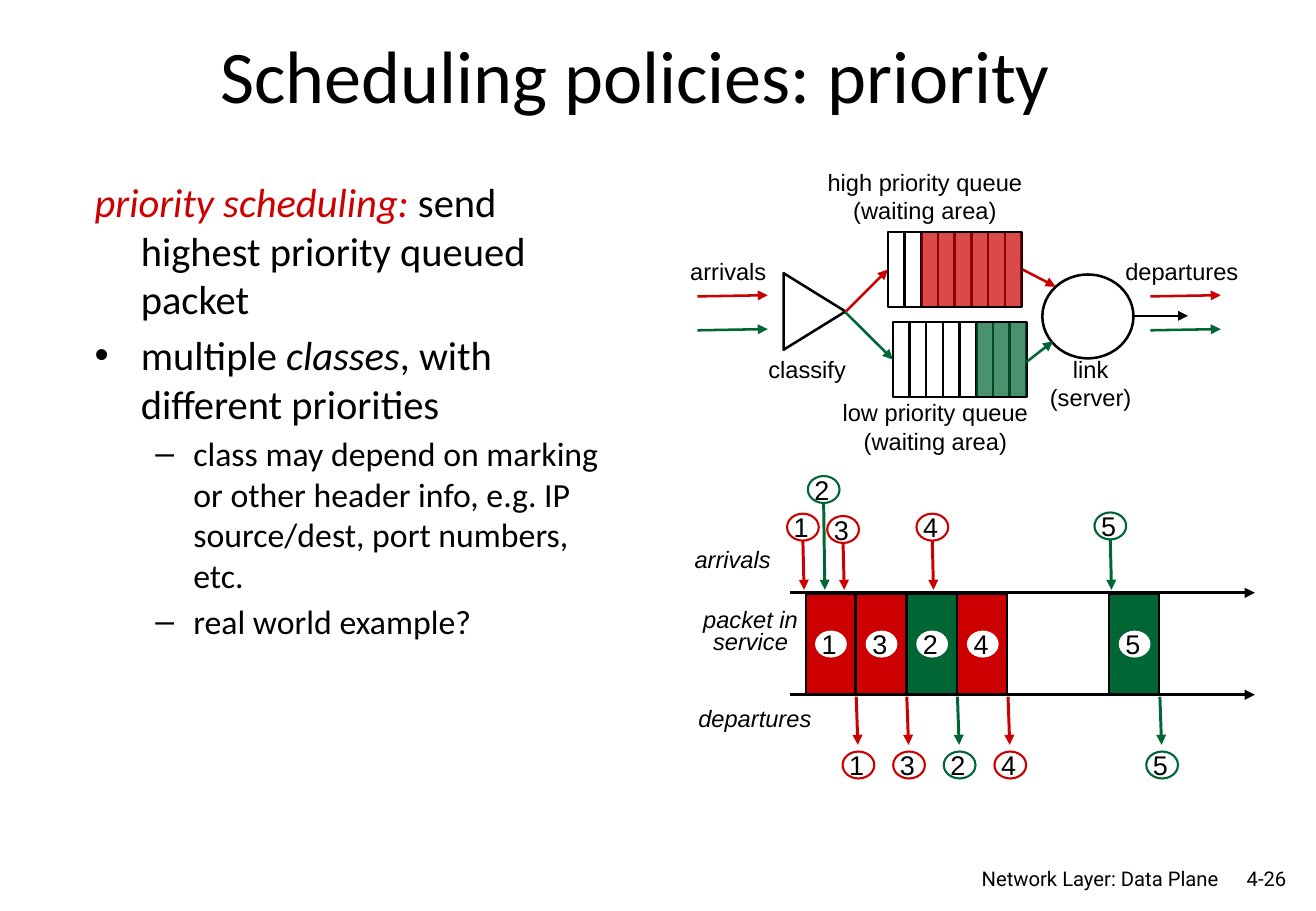
"""Build the slide on priority scheduling policies."""
from dataclasses import dataclass
from typing import Optional

from lxml.etree import SubElement
from pptx import Presentation
from pptx.dml.color import RGBColor
from pptx.enum.shapes import MSO_CONNECTOR as Connector, MSO_SHAPE as Preset
from pptx.enum.text import MSO_ANCHOR as Anchor, PP_ALIGN as Align
from pptx.oxml.ns import qn
from pptx.util import Pt

RED = RGBColor(0xCC, 0x00, 0x00)
GREEN = RGBColor(0x00, 0x66, 0x33)
BLACK = RGBColor(0x00, 0x00, 0x00)
WHITE = RGBColor(0xFF, 0xFF, 0xFF)

QUEUE_WIDTH, QUEUE_HEIGHT, QUEUE_CELLS = 79.2, 44.6, 8
TIME_START, SLOT, PACKET_WIDTH = 477.5, 30, 29.6
ARRIVAL_AXIS, DEPARTURE_AXIS, AXIS_END = 351.4, 411.8, 743.8
BADGE_WIDTH, BADGE_HEIGHT = 18.8, 16


@dataclass(frozen=True)
class Label:
    text: str
    left: float
    top: float
    width: float
    height: float
    size: float = 14
    font: str = "Arial"
    align: Align = Align.CENTER
    anchor: Anchor = Anchor.TOP
    italic: bool = False
    wrap: bool = False
    leading: Optional[float] = None


@dataclass(frozen=True)
class Arrow:
    start: tuple[float, float]
    end: tuple[float, float]
    color: RGBColor
    weight: float = 1.5


@dataclass(frozen=True)
class Queue:
    left: float
    top: float
    waiting: int
    color: RGBColor


@dataclass(frozen=True)
class Packet:
    number: str
    color: RGBColor
    slot: int
    arrival_x: float
    arrival_y: float


@dataclass(frozen=True)
class Point:
    spans: tuple[tuple[str, bool, RGBColor], ...]
    bullet: str
    size: float
    margin: float
    hanging: float
    before: float


LABELS = (
    Label("Scheduling policies: priority", 45.4, -1.4, 663, 90, 44, "Calibri",
          anchor=Anchor.MIDDLE, wrap=True),
    Label("Network Layer: Data Plane", 543.6, 509.8, 185.8, 18.7, 12, "Roboto", Align.RIGHT, wrap=True),
    Label("4-26", 721.4, 509.8, 48.2, 21.6, 12, "Roboto", Align.RIGHT, Anchor.MIDDLE, wrap=True),
    Label("high priority queue\n(waiting area)", 483.1, 95.8, 130.3, 41),
    Label("low priority queue\n(waiting area)", 491.8, 232.6, 125.3, 41),
    Label("arrivals", 401.8, 149, 59.8, 24.5),
    Label("classify", 447.8, 206.6, 61.2, 24.5),
    Label("departures", 659.5, 149, 82, 24.5),
    Label("link\n(server)", 613, 206.6, 67, 41),
    Label("arrivals", 404.6, 319.7, 59.8, 24.5, align=Align.LEFT, italic=True),
    Label("departures", 406.8, 414, 82, 24.5, align=Align.LEFT, italic=True),
    Label("packet in service", 408.2, 359.3, 73.4, 33.8, italic=True, wrap=True, leading=12.8),
)
QUEUES = (Queue(529.2, 190.8, 3, GREEN), Queue(526.3, 137.5, 6, RED))
ARROWS = (
    Arrow((501, 185), (526.3, 159.8), RED),
    Arrow((501, 185), (529.2, 213.1), GREEN),
    Arrow((606.2, 159.8), (625.7, 169.9), RED),
    Arrow((608.4, 214.6), (624.2, 202.3), GREEN),
    Arrow((671, 187.2), (704.2, 187.2), BLACK),
    *(Arrow((x, y), (x + 41.8, y - 0.7), color)
      for x in (413.3, 681.8) for y, color in ((175.7, RED), (195.8, GREEN))),
    Arrow((468, ARRIVAL_AXIS), (AXIS_END, ARRIVAL_AXIS), BLACK, 2),
    Arrow((468, DEPARTURE_AXIS), (AXIS_END, DEPARTURE_AXIS), BLACK, 2),
)
PACKETS = (
    Packet("1", RED, 0, 475.9, 312.5),
    Packet("3", RED, 1, 499.7, 313.9),
    Packet("2", GREEN, 2, 488.2, 290.2),
    Packet("4", RED, 3, 552.6, 312.5),
    Packet("5", GREEN, 6, 658.1, 311.8),
)
POINTS = (
    Point((("priority scheduling: ", True, RED),
           ("send highest priority queued packet", False, BLACK)), "", 24, 27.4, 27.4, 0),
    Point((("multiple ", False, BLACK), ("classes", True, BLACK),
           (", with different priorities", False, BLACK)), "•", 24, 27.4, 27.4, 4.2),
    Point((("class may depend on marking or other header info, e.g. IP source/dest, "
            "port numbers, etc.", False, BLACK),), "–", 20, 58.5, 22.5, 3.5),
    Point((("real world example?", False, BLACK),), "–", 20, 58.5, 22.5, 3.5),
)


def add_label(page, label: Label) -> None:
    box = page.shapes.add_textbox(Pt(label.left), Pt(label.top), Pt(label.width), Pt(label.height))
    frame = box.text_frame
    frame.text = label.text
    frame.word_wrap = label.wrap
    frame.vertical_anchor = label.anchor
    for para in frame.paragraphs:
        para.alignment = label.align
        if label.leading:
            para.line_spacing = Pt(label.leading)
        for span in para.runs:
            span.font.name, span.font.size = label.font, Pt(label.size)
            span.font.italic = label.italic
            span.font.color.rgb = BLACK


def add_points(page, points: tuple[Point, ...]) -> None:
    frame = page.shapes.add_textbox(Pt(49), Pt(101.5), Pt(316), Pt(401.8)).text_frame
    frame.word_wrap = True
    for index, point in enumerate(points):
        para = frame.add_paragraph() if index else frame.paragraphs[0]
        para.space_before = Pt(point.before)
        properties = para._p.get_or_add_pPr()
        properties.set("marL", str(Pt(point.margin)))
        properties.set("indent", str(-Pt(point.hanging)))
        if point.bullet:
            SubElement(properties, qn("a:buFont"), typeface="Arial")
            SubElement(properties, qn("a:buChar"), char=point.bullet)
        for text, italic, color in point.spans:
            span = para.add_run()
            span.text = text
            span.font.name, span.font.size = "Calibri", Pt(point.size)
            span.font.italic = italic
            span.font.color.rgb = color


def add_line(page, arrow: Arrow, head: bool = True) -> None:
    line = page.shapes.add_connector(Connector.STRAIGHT, *map(Pt, arrow.start + arrow.end))
    line.line.color.rgb = arrow.color
    line.line.width = Pt(arrow.weight)
    if head:
        SubElement(line.line._get_or_add_ln(), qn("a:tailEnd"), type="triangle")
    SubElement(line._element.spPr, qn("a:effectLst"))


def add_outline(page, preset: Preset, left: float, top: float, width: float, height: float,
                fill: Optional[RGBColor] = None, line: Optional[RGBColor] = BLACK,
                weight: float = 1.5):
    shape = page.shapes.add_shape(preset, Pt(left), Pt(top), Pt(width), Pt(height))
    shape.shadow.inherit = False
    if fill is None:
        shape.fill.background()
    else:
        shape.fill.solid()
        shape.fill.fore_color.rgb = fill
    if line is None:
        shape.line.fill.background()
    else:
        shape.line.color.rgb = line
        shape.line.width = Pt(weight)
    return shape


def add_queue(page, queue: Queue) -> None:
    add_outline(page, Preset.RECTANGLE, queue.left, queue.top, QUEUE_WIDTH, QUEUE_HEIGHT)
    cell = QUEUE_WIDTH / QUEUE_CELLS
    for index in range(1, QUEUE_CELLS):
        x = queue.left + index * cell
        add_line(page, Arrow((x, queue.top), (x, queue.top + QUEUE_HEIGHT), BLACK), head=False)
    filled = queue.waiting * cell
    area = add_outline(page, Preset.RECTANGLE, queue.left + QUEUE_WIDTH - filled, queue.top + 0.7,
                       filled, QUEUE_HEIGHT - 1.4, queue.color, None)
    color = area._element.spPr.find(qn("a:solidFill")).find(qn("a:srgbClr"))
    SubElement(color, qn("a:alpha"), val="71000")


def add_badge(page, number: str, x: float, y: float, line: Optional[RGBColor] = None) -> None:
    badge = add_outline(page, Preset.OVAL, x - BADGE_WIDTH / 2, y - BADGE_HEIGHT / 2,
                        BADGE_WIDTH, BADGE_HEIGHT, WHITE, line, 1.25)
    frame = badge.text_frame
    frame.margin_left = frame.margin_top = frame.margin_bottom = 0
    frame.margin_right = Pt(2)
    frame.word_wrap = False
    frame.vertical_anchor = Anchor.MIDDLE
    frame.text = number
    para = frame.paragraphs[0]
    para.alignment = Align.CENTER
    para.font.name, para.font.size = "Arial", Pt(16)
    para.font.color.rgb = BLACK


def add_packet(page, packet: Packet) -> None:
    left = TIME_START + packet.slot * SLOT
    add_outline(page, Preset.RECTANGLE, left, 352, PACKET_WIDTH, 59.4, packet.color, weight=1.25)
    add_badge(page, packet.number, left + SLOT / 2, 381.8)
    x, y, leave = packet.arrival_x, packet.arrival_y, left + SLOT
    add_line(page, Arrow((x, y + BADGE_HEIGHT / 2), (x + 0.7, 349.6), packet.color, 1.75))
    add_badge(page, packet.number, x, y, packet.color)
    add_line(page, Arrow((leave, 413), (leave + 1, 441.5), packet.color, 1.75))
    add_badge(page, packet.number, leave + 1.3, 453.5, packet.color)


def main() -> None:
    deck = Presentation()
    deck.slide_width, deck.slide_height = Pt(780), Pt(540)
    page = deck.slides.add_slide(deck.slide_layouts[6])
    add_points(page, POINTS)
    for queue in QUEUES:
        add_queue(page, queue)
    add_outline(page, Preset.ISOSCELES_TRIANGLE, 460.1, 166.3, 45.4, 36.7).rotation = 90
    add_outline(page, Preset.OVAL, 617.8, 162.7, 54, 49.7)
    for arrow in ARROWS:
        add_line(page, arrow)
    for packet in PACKETS:
        add_packet(page, packet)
    for label in LABELS:
        add_label(page, label)
    deck.save("out.pptx")


if __name__ == "__main__":
    main()
